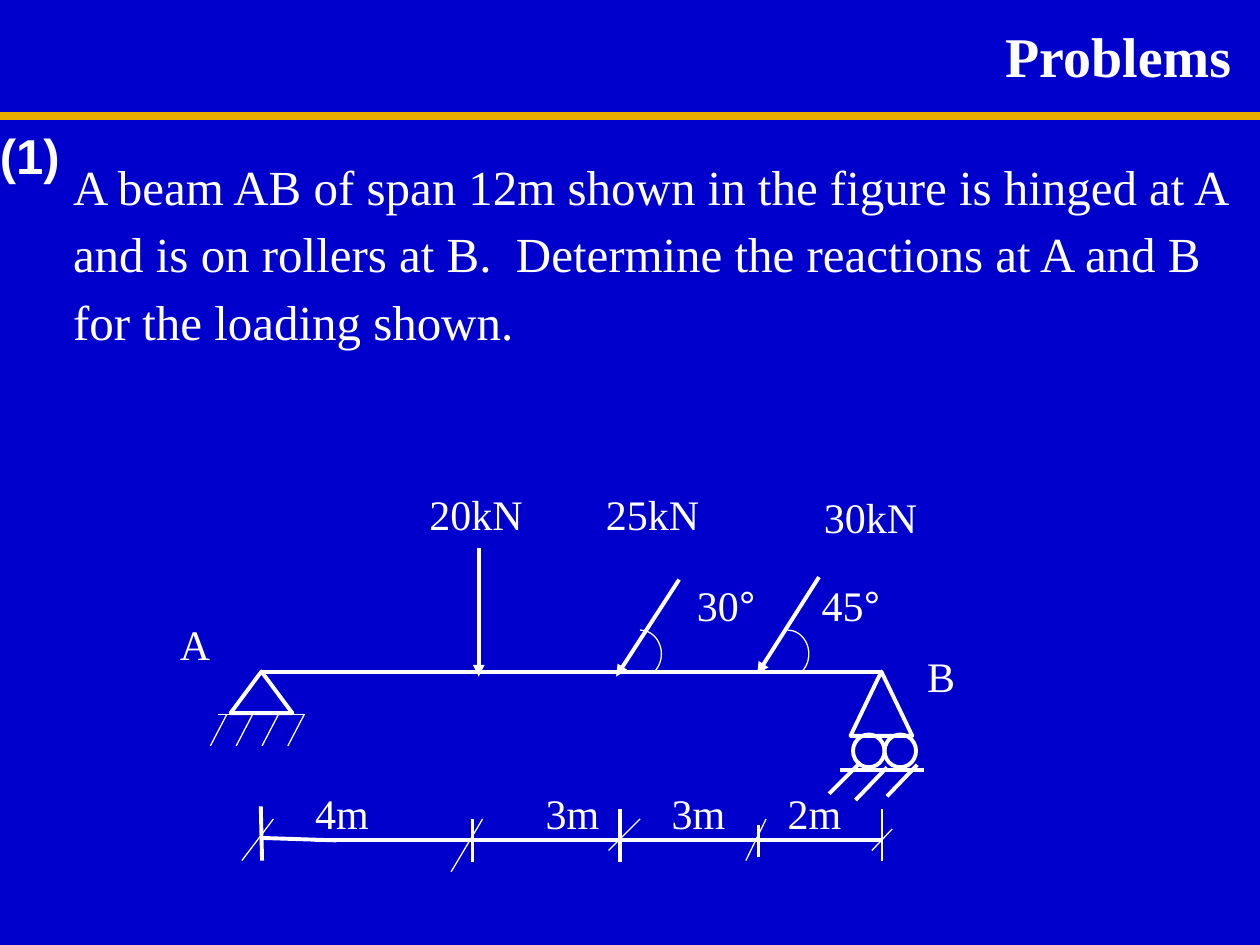
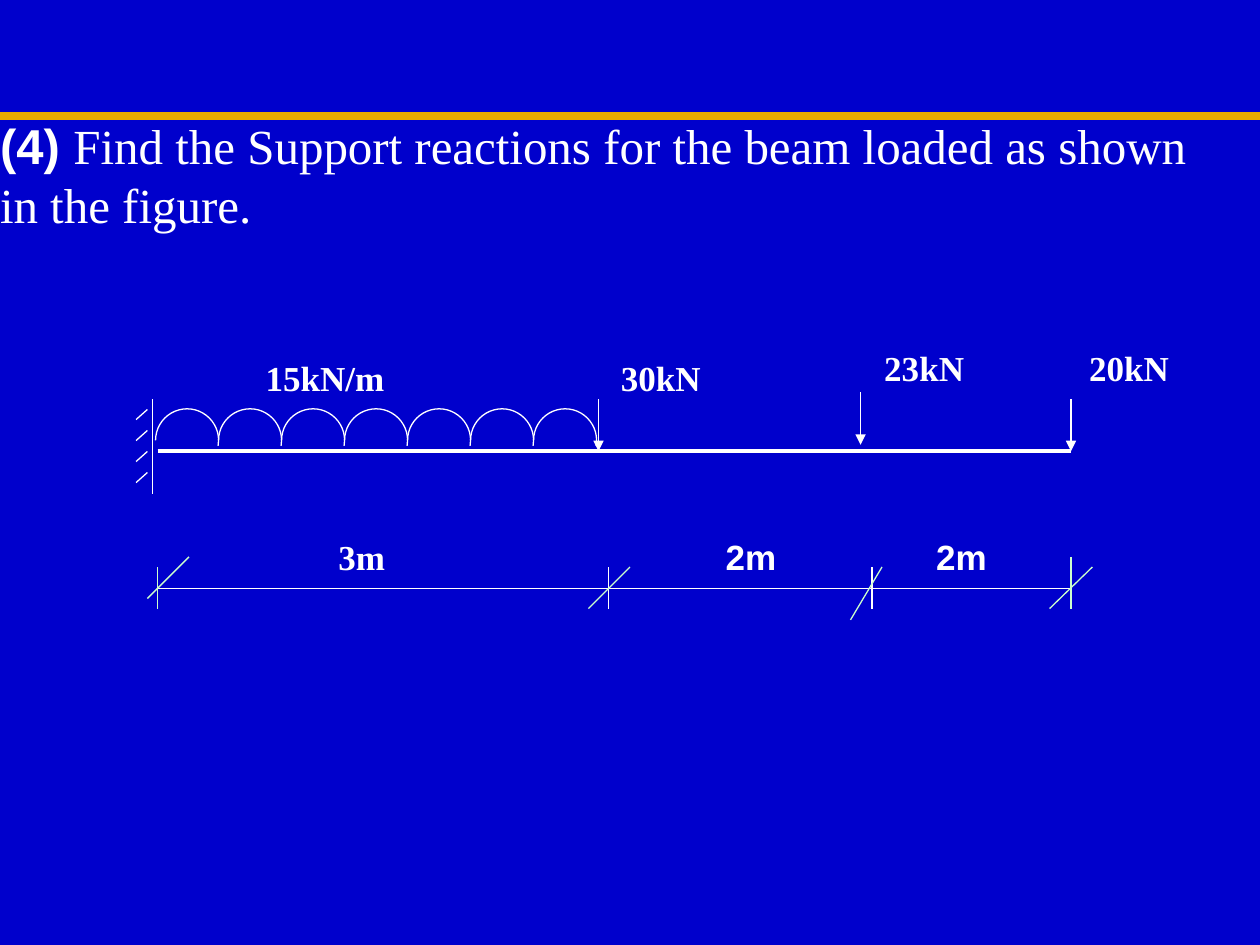
from dataclasses import dataclass
from lxml import etree
from pptx import Presentation
from pptx.dml.color import RGBColor
from pptx.enum.shapes import MSO_CONNECTOR, MSO_SHAPE
from pptx.enum.text import MSO_ANCHOR, MSO_AUTO_SIZE, PP_ALIGN
from pptx.oxml.ns import qn
from pptx.util import Cm, Pt

LINE = MSO_CONNECTOR.STRAIGHT
ARC, TRI, OVAL = MSO_SHAPE.ARC, MSO_SHAPE.ISOSCELES_TRIANGLE, MSO_SHAPE.OVAL
LEFT, MID = PP_ALIGN.LEFT, PP_ALIGN.CENTER


@dataclass(frozen=True)
class Theme:
    """Colours, faces, type sizes and line widths in points."""
    back: str = "0000CC"
    ink: str = "FFFFFF"
    gold: str = "E8AB00"
    mint: str = "CCFFCC"
    serif: str = "Times New Roman"
    sans: str = "Arial"
    title: int = 32
    body: int = 28
    label: int = 24
    small: int = 20
    thin: float = 0.75
    bold: float = 2.25
    band: float = 4.5


T = Theme()
UNIT = 2.54
BAND = (0, 0.92, 10.03, 0.92)

TITLE = ("Problems", (7.75, 0.17, 2.25, 0.53))
TASK = ("A beam AB of span 12m shown in the figure is hinged at A and is on "
        "rollers at B.  Determine the reactions at A and B for the loading shown.",
        (0.58, 1.17, 9.42, 1.61))
MARK = ("(1)", (0, 1, 0.67, 0.47))
NAMES = [("A", 1.33, 4.86, 0.74), ("B", 7.26, 5.11, 0.74), ("20kN", 3.31, 3.83, 1.48),
         ("25kN", 4.71, 3.83, 1.48), ("30kN", 6.44, 3.85, 1.48)]
ANGLES = [("30", 5.53), ("45", 6.52)]
SPANS = [("4m", 2.5), ("3m", 4.33), ("3m", 5.33), ("2m", 6.25)]
HINGE = (1.83, 5.33, 0.49, 0.33)
ROLLER = (6.75, 5.33, 0.49, 0.51)
WHEELS = [6.77, 7.02]
BENDS = [5.08, 6.25]
LOADS = [(3.8, 4.35, 3.8, 5.37), (5.39, 4.6, 4.89, 5.37), (6.5, 4.58, 6.01, 5.35)]
BEAM = (2.08, 5.33, 7.02, 5.33)
RULES = [(2.07, 6.4, 2.08, 6.83), (2.67, 6.67, 2.07, 6.65), (2.5, 6.67, 7, 6.67),
         (3.75, 6.5, 3.75, 6.84), (4.92, 6.42, 4.92, 6.84), (6.02, 6.55, 6.02, 6.8)]
FLOOR = [(6.83, 6.05, 6.58, 6.3), (7.04, 6.09, 6.79, 6.35),
         (7.28, 6.07, 7.04, 6.32), (6.67, 6.11, 7.33, 6.11)]
SLASHES = [(2.17, 6.5, 1.92, 6.83), (3.83, 6.5, 3.58, 6.92), (5.08, 6.5, 4.83, 6.75),
           (6.08, 6.5, 5.92, 6.83), (7.08, 6.58, 6.92, 6.75), (7, 6.42, 7, 6.83)]
GROUND = (2.42, 5.67, 1.73, 5.67)

FIND = ([("(4) ", {"face": T.sans, "bold": True}),
         ("Find the Support reactions for the beam loaded as shown in the figure.", {})],
        (0, 0.92, 9.75, 1.64))
NOTES = [("3m", 2.08, 4.25, 1.58, T.serif), ("2m", 5.25, 4.25, 1.42, T.sans),
         ("2m", 7.17, 4.25, 0.92, T.sans), ("20kN", 8.5, 2.75, 0.92, T.serif),
         ("23kN", 6.92, 2.75, 0.83, T.serif), ("30kN", 4.83, 2.83, 0.83, T.serif),
         ("15kN/m", 1.83, 2.83, 1.5, T.serif)]
DROPS = [(4.75, 3.17, 4.75, 3.58), (6.83, 3.11, 6.83, 3.53), (8.5, 3.17, 8.5, 3.58)]
SPAN = (1.25, 3.58, 8.5, 3.58)
THINS = [(1.25, 4.67, 8.5, 4.67), (1.21, 3.17, 1.21, 3.92),
         (4.83, 4.5, 4.83, 4.83), (6.92, 4.5, 6.92, 4.83)]
TICKS = [(1.25, 4.5, 1.25, 4.83), (8.5, 4.42, 8.5, 4.83), (1.5, 4.42, 1.17, 4.75),
         (5, 4.5, 4.67, 4.83), (7, 4.5, 6.75, 4.92), (8.67, 4.5, 8.33, 4.83)]


def cm(nums):
    """Turn grid units into lengths."""
    return [Cm(n * UNIT) for n in nums]


def write(slide, text, box, shape=None, size=T.label, face=T.serif, bold=False,
          align=LEFT, pad=(0, 0), lead=None):
    """Put text, or a list of runs with their own format, into a box."""
    if shape is None:
        shape = slide.shapes.add_textbox(*cm(box))
    shape.left, shape.top, shape.width, shape.height = cm(box)
    frame = shape.text_frame
    frame.word_wrap = True
    frame.auto_size = MSO_AUTO_SIZE.NONE
    frame.vertical_anchor = MSO_ANCHOR.TOP
    frame.margin_left, frame.margin_top = frame.margin_right, frame.margin_bottom = cm(pad)
    para = frame.paragraphs[0]
    para.alignment = align
    para.line_spacing = lead
    for words, form in [(text, {})] if isinstance(text, str) else text:
        run = para.add_run()
        run.text = words
        run.font.size = Pt(size)
        run.font.name = form.get("face", face)
        run.font.bold = form.get("bold", bold)
        run.font.color.rgb = RGBColor.from_string(T.ink)


def rule(slide, ends, width=T.thin, color=T.ink, tip=False):
    """Draw a straight line, with an arrowhead at its end on request."""
    line = slide.shapes.add_connector(LINE, *cm(ends))
    line.line.width = Pt(width)
    line.line.color.rgb = RGBColor.from_string(color)
    if tip:
        etree.SubElement(line.line._get_or_add_ln(), qn("a:tailEnd"), type="triangle")
    etree.SubElement(line._element.spPr, qn("a:effectLst"))
    return line


def shape(slide, kind, box, width=T.bold):
    """Draw an unfilled outline shape."""
    item = slide.shapes.add_shape(kind, *cm(box))
    item.shadow.inherit = False
    item.fill.background()
    item.line.width = Pt(width)
    item.line.color.rgb = RGBColor.from_string(T.ink)
    return item


def arc(slide, mid, radii, start, stop):
    """Draw an arc about a centre between two angles in degrees."""
    (x, y), (rx, ry) = mid, radii
    item = shape(slide, ARC, (x - rx, y - ry, 2 * rx, 2 * ry), T.thin)
    for i, turn in enumerate((start, stop)):
        item.adjustments[i] = turn * 0.6


def page(deck, kind):
    """Add a slide with the gold band."""
    slide = deck.slides.add_slide(deck.slide_layouts.get_by_name(kind))
    rule(slide, BAND, T.band, T.gold)
    return slide


def first(deck):
    """Build the hinged beam problem."""
    slide = page(deck, "Title Only")
    write(slide, *TITLE, shape=slide.shapes.title, size=T.title, bold=True, align=MID)
    write(slide, *TASK, size=T.body, lead=1.15)
    write(slide, *MARK, size=T.body, face=T.sans, bold=True)
    beam = rule(slide, BEAM, T.bold)
    beam.begin_connect(shape(slide, TRI, HINGE), 0)
    beam.end_connect(shape(slide, TRI, ROLLER), 0)
    for x in WHEELS:
        shape(slide, OVAL, (x, 5.83, 0.25, 0.26))
    for x in BENDS:
        arc(slide, (x, 5.19), (0.17, 0.19), 270, 50)
    for ends in LOADS:
        rule(slide, ends, T.bold, tip=True)
    for ends in RULES + FLOOR:
        rule(slide, ends, T.bold)
    for ends in SLASHES + [GROUND]:
        rule(slide, ends)
    for i in range(4):
        x = 1.8 + i * 0.205
        rule(slide, (x, 5.67, x - 0.13, 5.92))
    for name, x, y, wide in NAMES:
        write(slide, name, (x, y, wide, 0.51), pad=(0.1, 0.05))
    for turn, x in ANGLES:
        write(slide, [(turn, {}), ("°", {"face": T.sans})], (x, 4.6, 0.49, 0.51))
    for span, x in SPANS:
        write(slide, span, (x, 6.25, 0.49, 0.51))


def second(deck):
    """Build the fixed beam problem."""
    slide = page(deck, "Blank")
    write(slide, *FIND, size=T.body)
    rule(slide, SPAN, T.bold)
    for ends in DROPS:
        rule(slide, ends, tip=True)
    for ends in THINS:
        rule(slide, ends)
    for ends in TICKS:
        rule(slide, ends, color=T.mint)
    for i in range(7):
        arc(slide, (1.485 + i * 0.5, 3.495), (0.25, 0.25), 180, 10)
    for i in range(4):
        y = 3.25 + i / 6
        rule(slide, (1.17, y, 1.08, y + 0.08))
    for note, x, y, wide, face in NOTES:
        write(slide, note, (x, y, wide, 0.33), size=T.small, face=face, bold=True, align=MID)


def main():
    """Build and save the deck."""
    deck = Presentation()
    deck.slide_width, deck.slide_height = cm((10, 7.5))
    fill = deck.slide_master.background.fill
    fill.solid()
    fill.fore_color.rgb = RGBColor.from_string(T.back)
    first(deck)
    second(deck)
    deck.save("out.pptx")


if __name__ == "__main__":
    main()
